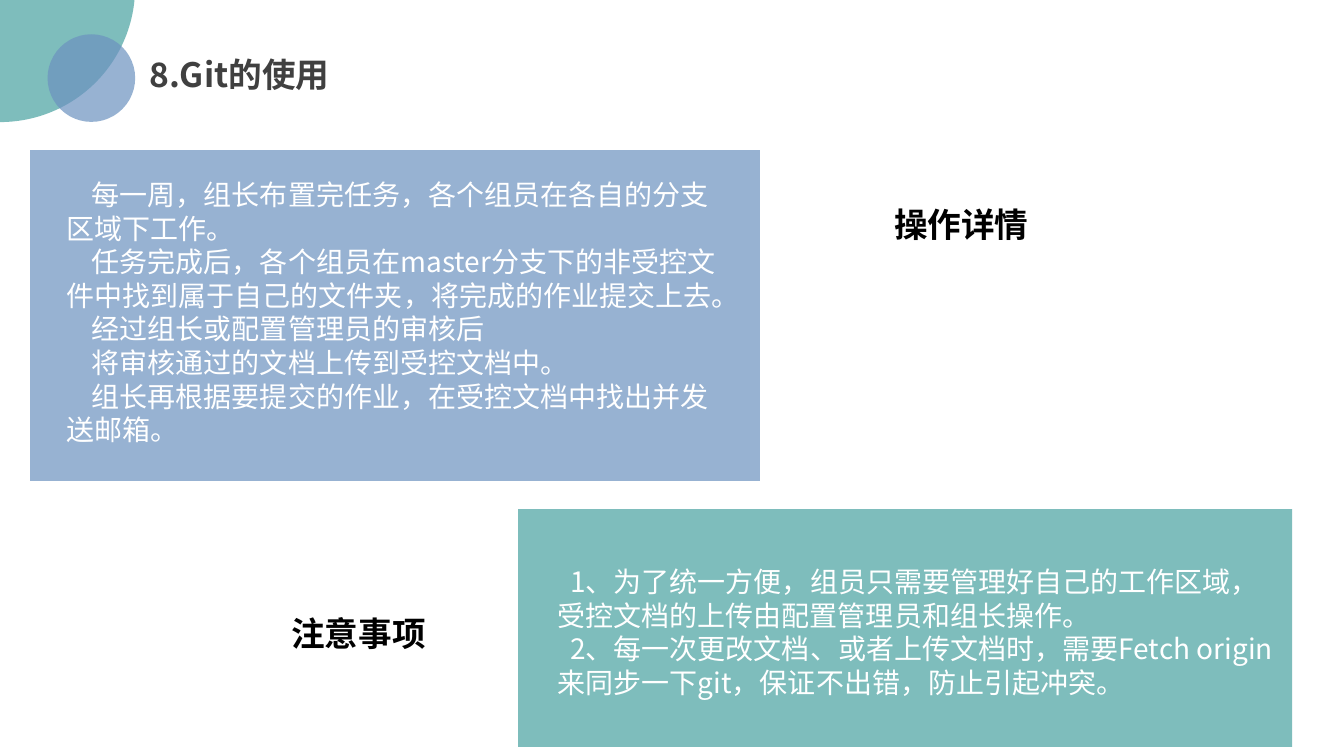
from pptx import Presentation
from pptx import util as u
from pptx.dml import color
from pptx.enum import shapes, text
from pptx.oxml import ns
from lxml import etree

COLORS = {"teal": "48A2A0", "blue": "6C92C0", "title": "404040",
          "heading": "000000", "body": "FFFFFF"}
FONT = "Noto Sans CJK SC"
COMPARISON_LAYOUT = 4

STEPS = [
    "每一周，组长布置完任务，各个组员在各自的分支区域下工作。",
    "任务完成后，各个组员在master分支下的非受控文件中找到属于自己的文件夹，将完成的作业提交上去。",
    "经过组长或配置管理员的审核后",
    "将审核通过的文档上传到受控文档中。",
    "组长再根据要提交的作业，在受控文档中找出并发送邮箱。",
]
NOTICES = [
    "1、为了统一方便，组员只需要管理好自己的工作区域，受控文档的上传由配置管理员和组长操作。",
    "2、每一次更改文档、或者上传文档时，需要Fetch origin来同步一下git，保证不出错，防止引起冲突。",
]


def apply(target, values):
    for key, value in values.items():
        setattr(target, key, value)


class GitSlide:
    """Holds the style and the current slide."""

    def __init__(self, deck):
        self.slide = deck.slides.add_slide(deck.slide_layouts[COMPARISON_LAYOUT])

    def place(self, box, left, top, width, height):
        apply(box, {"left": u.Pt(left), "top": u.Pt(top),
                    "width": u.Pt(width), "height": u.Pt(height)})

    def panel(self, kind, color_name, *area):
        panel = self.slide.shapes.add_shape(kind, *map(u.Pt, area))
        panel.shadow.inherit = False
        panel.line.fill.background()
        panel.fill.solid()
        panel.fill.fore_color.rgb = color.RGBColor.from_string(COLORS[color_name])
        # 70 % opacity
        tint = panel.fill._xPr.find(".//" + ns.qn("a:srgbClr"))
        etree.SubElement(tint, ns.qn("a:alpha"), val="70000")

    def words(self, index, lines, role, size, area, margin=0, indent=0, wrap=False):
        holder = next(p for p in self.slide.placeholders
                      if p.placeholder_format.idx == index)
        self.place(holder, *area)
        # Bring the text in front of the panels
        holder.element.getparent().append(holder.element)
        frame = holder.text_frame
        frame.text = "\n".join(lines)
        apply(frame, {"word_wrap": wrap,
                      "auto_size": text.MSO_AUTO_SIZE.SHAPE_TO_FIT_TEXT,
                      "vertical_anchor": text.MSO_ANCHOR.TOP})
        for paragraph in frame.paragraphs:
            apply(paragraph, {"alignment": text.PP_ALIGN.LEFT,
                              "space_before": u.Pt(0),
                              "line_spacing": u.Pt(size * 1.2)})
            layout = paragraph._p.get_or_add_pPr()
            layout.set("marL", str(u.Pt(margin)))
            layout.set("indent", str(u.Pt(indent)))
            etree.SubElement(layout, ns.qn("a:buNone"))
            for run in paragraph.runs:
                apply(run.font, {"name": FONT, "size": u.Pt(size),
                                 "bold": role != "body"})
                run.font.color.rgb = color.RGBColor.from_string(COLORS[role])
                etree.SubElement(run._r.get_or_add_rPr(), ns.qn("a:ea"),
                                 typeface=FONT)


def main():
    deck = Presentation()
    apply(deck, {"slide_width": u.Pt(960), "slide_height": u.Pt(540)})
    git = GitSlide(deck)

    # Panels and corner circles
    rectangle, oval = shapes.MSO_SHAPE.RECTANGLE, shapes.MSO_SHAPE.OVAL
    git.panel(rectangle, "teal", 370, 363.6, 553, 170)
    git.panel(rectangle, "blue", 21.6, 107.3, 521.3, 236.2)
    git.panel(oval, "teal", -96.5, -105.8, 193, 193)
    git.panel(oval, "blue", 34, 24.5, 62.6, 62.6)

    # Title
    git.words(0, ["8.Git的使用"], "title", 24, (99.4, 34.6, 149, 36))

    # Operation details
    git.words(1, ["操作详情"], "heading", 24, (595.4, 141.8, 147.6, 36), margin=36)
    git.words(2, STEPS, "body", 20, (40.3, 123.1, 480.2, 225.4), indent=18, wrap=True)

    # Points to note
    git.words(3, ["注意事项"], "heading", 24, (164.9, 434.2, 147.6, 36), margin=36)
    git.words(4, NOTICES, "body", 20, (391, 399.6, 532.8, 104.4), indent=9, wrap=True)

    deck.save("out.pptx")


if __name__ == "__main__":
    main()
